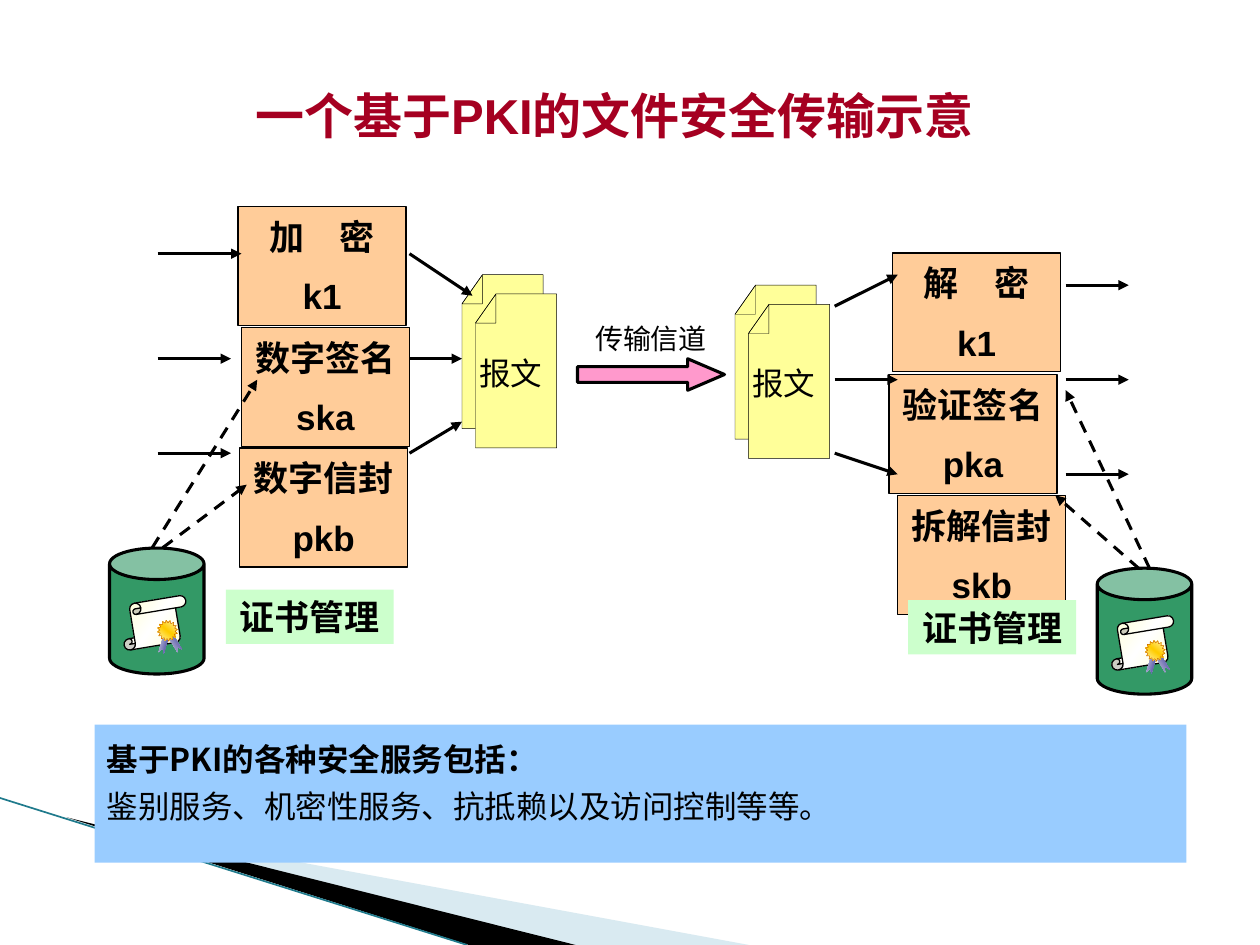
import pptx
import pptx.util
import pptx.dml.color
import pptx.enum.dml
import pptx.enum.shapes
import pptx.enum.text
import pptx.oxml.ns
from lxml import etree

Pt = pptx.util.Pt
KIND = pptx.enum.shapes.MSO_SHAPE
ALIGN = pptx.enum.text.PP_ALIGN
ANCHOR = pptx.enum.text.MSO_ANCHOR
qn = pptx.oxml.ns.qn

HUE = {
    "ink": "000000", "title": "A50021", "step": "FFCC99", "page": "FFFF99",
    "tag": "CCFFCC", "store": "339966", "flow": "FF99CC", "note": "99CCFF",
    "pale": "A0CBDC", "edge": "1F7A8C", "cream": "FFFFCC", "white": "FFFFFF",
    "gold": "FFCC00", "rim": "CC6600", "mist": "D6D6E3", "navy": "333399",
}
SANS, CJK = "Arial", "Noto Sans CJK SC"

TITLE = "一个基于PKI的文件安全传输示意"
STEPS = [
    (136, 118, "加　密", "k1"), (138, 187, "数字签名", "ska"),
    (137, 256, "数字信封", "pkb"), (510, 144.5, "解　密", "k1"),
    (508, 214, "验证签名", "pka"), (513, 283, "拆解信封", "skb"),
]
TAGS = [(129, 337), (519, 343)]
STORES = [(62.6, 313.2), (627, 324.7)]
PAGES = [(264, 157), (420, 163)]
SOLID = [
    (90, 145, 138, 145), (90, 205, 132, 205), (90, 259, 132, 259),
    (234, 145, 270, 169), (234, 205, 264, 205), (234, 259, 264, 241),
    (477, 175, 513, 157), (477, 217, 513, 217), (477, 259, 513, 271),
    (609, 163, 645, 163), (609, 217, 645, 217), (609, 271, 645, 271),
]
DASHED = [
    (87, 313, 147, 217), (93, 313, 141, 277),
    (657, 325, 609, 223), (651, 325, 603, 283),
]
NOTE = [("基于PKI的各种安全服务包括：", True),
        ("鉴别服务、机密性服务、抗抵赖以及访问控制等等。", False)]
RIBBON = [(0, "mist"), (100, "navy")]
CERT = [
    (KIND.VERTICAL_SCROLL, 6.5, 29.7, 39, 26, 350.5, 0.25,
     [(0, "cream"), (50, "white"), (100, "cream")], 315, ("ink", 0.75)),
    (KIND.CHEVRON, 31, 52, 12, 3, 239.1, 1, RIBBON, 270, None),
    (KIND.CHEVRON, 25.2, 52.6, 12, 3, 286.7, 1, RIBBON, 270, None),
    (KIND.STAR_16_POINT, 27.4, 41.2, 11.5, 12, 352.9, 0.375,
     [(0, "cream"), (50, "gold"), (100, "cream")], 45, ("rim", 0.25)),
]

deck = pptx.Presentation()
deck.slide_width, deck.slide_height = Pt(720), Pt(540)
slide = deck.slides.add_slide(deck.slide_layouts[5])
shapes = slide.shapes


def rgb(name):
    return pptx.dml.color.RGBColor.from_string(HUE[name])


def paint(item, fill=None, line=None):
    item.shadow.inherit = False
    if fill:
        item.fill.solid()
        item.fill.fore_color.rgb = rgb(fill)
    else:
        item.fill.background()
    if line:
        item.line.color.rgb = rgb(line[0])
        item.line.width = Pt(line[1])
    else:
        item.line.fill.background()
    return item


def block(kind, x, y, w, h, fill=None, line=None, adj=()):
    item = shapes.add_shape(kind, Pt(x), Pt(y), Pt(w), Pt(h))
    for i, part in enumerate(adj):
        item.adjustments[i] = part
    return paint(item, fill, line)


def outline(spots, fill=None, line=None):
    pen = shapes.build_freeform(Pt(spots[0][0]), Pt(spots[0][1]))
    pen.add_line_segments([(Pt(x), Pt(y)) for x, y in spots[1:]])
    return paint(pen.convert_to_shape(), fill, line)


def write(item, rows, size=20, face=SANS, color="ink", align=ALIGN.CENTER,
          anchor=ANCHOR.MIDDLE, pad=(0, 3.6), gap=0, lead=None, wrap=True):
    frame = item.text_frame
    frame.word_wrap = wrap
    frame.vertical_anchor = anchor
    frame.margin_left = frame.margin_right = Pt(pad[0])
    frame.margin_top = frame.margin_bottom = Pt(pad[1])
    for i, (text, bold) in enumerate(rows):
        para = frame.add_paragraph() if i else frame.paragraphs[0]
        para.alignment = align
        if i and gap:
            para.space_before = Pt(gap)
        if lead:
            para.line_spacing = Pt(lead)
        run = para.add_run()
        run.text = text
        font = run.font
        font.size, font.bold, font.name = Pt(size), bold, face
        font.color.rgb = rgb(color)
        east = etree.SubElement(run._r.get_or_add_rPr(), qn("a:ea"))
        east.set("typeface", face)


def blend(item, stops, angle):
    item.fill.gradient()
    item.fill.gradient_angle = angle
    bag = item._element.spPr.find(".//" + qn("a:gsLst"))
    for old in list(bag):
        bag.remove(old)
    for at, name in stops:
        stop = etree.SubElement(bag, qn("a:gs"), pos=str(at * 1000))
        etree.SubElement(stop, qn("a:srgbClr"), val=HUE[name])


def link(x1, y1, x2, y2, color="ink", width=1.75, dash=False, head=True):
    item = shapes.add_connector(pptx.enum.shapes.MSO_CONNECTOR.STRAIGHT,
                                Pt(x1), Pt(y1), Pt(x2), Pt(y2))
    item.line.color.rgb = rgb(color)
    item.line.width = Pt(width)
    if dash:
        item.line.dash_style = pptx.enum.dml.MSO_LINE.DASH
    props = item._element.spPr
    if head:
        etree.SubElement(props.get_or_add_ln(), qn("a:tailEnd"), type="triangle")
    etree.SubElement(props, qn("a:effectLst"))


def sheet(x, y, w=46.4, h=88, fx=11.7, fy=16.6):
    rim = ("ink", 0.25)
    top, side = (x + fx, y), (x, y + fy)
    outline([top, (x + w, y), (x + w, y + h), (x, y + h), side, top], "page", rim)
    outline([top, (x + fx, y + fy), side, top], None, rim)


def label(x, y, w, h, text, **form):
    item = shapes.add_textbox(Pt(x), Pt(y), Pt(w), Pt(h))
    write(item, [(text, False)], face=CJK, **form)


wedge = outline([(40, 468.5), (428, 540), (328, 540), (40, 468.5)], "pale")
tint = wedge._element.spPr.find(".//" + qn("a:srgbClr"))
etree.SubElement(tint, qn("a:alpha"), val="40000")
outline([(38, 467), (329, 540), (268, 540), (38, 467)], "ink")
link(0, 456, 267, 540, color="edge", width=0.95, head=False)

head = shapes.title
head.left, head.top, head.width, head.height = Pt(132), Pt(45), Pt(480), Pt(36)
write(head, [(TITLE, True)], size=28, color="title", align=ALIGN.LEFT,
      anchor=ANCHOR.TOP, pad=(14, 3.6))

for x, y, name, key in STEPS:
    box = block(KIND.RECTANGLE, x, y, 96, 68, "step", ("ink", 0.75))
    write(box, [(name, True), (key, True)], gap=10)

for x, y in PAGES:
    sheet(x, y)
    sheet(x + 7.7, y + 11)
    label(x + 10, y + 45, 36, 22, "报文", size=18, pad=(0, 0), wrap=False)

for x, y in STORES:
    block(KIND.CAN, x, y, 54, 72, "store", ("ink", 1.75), [0.333])
    for kind, dx, dy, w, h, turn, adj, stops, angle, line in CERT:
        part = block(kind, x + dx, y + dy, w, h, None, line, [adj])
        part.rotation = turn
        blend(part, stops, angle)

for x, y in TAGS:
    write(block(KIND.RECTANGLE, x, y, 96, 31, "tag"), [("证书管理", True)])

block(KIND.RIGHT_ARROW, 330, 205, 84, 18, "flow", ("ink", 1.75), [0.5, 1.167])
label(330, 180, 84, 27, "传输信道", size=16, pad=(7.2, 3.6))

for ends in SOLID:
    link(*ends)
for ends in DASHED:
    link(*ends, dash=True)

note = block(KIND.RECTANGLE, 54, 414, 624, 79, "note")
write(note, NOTE, size=18, face=CJK, align=ALIGN.LEFT, anchor=ANCHOR.TOP,
      pad=(7.2, 3.6), lead=27)

deck.save("out.pptx")
